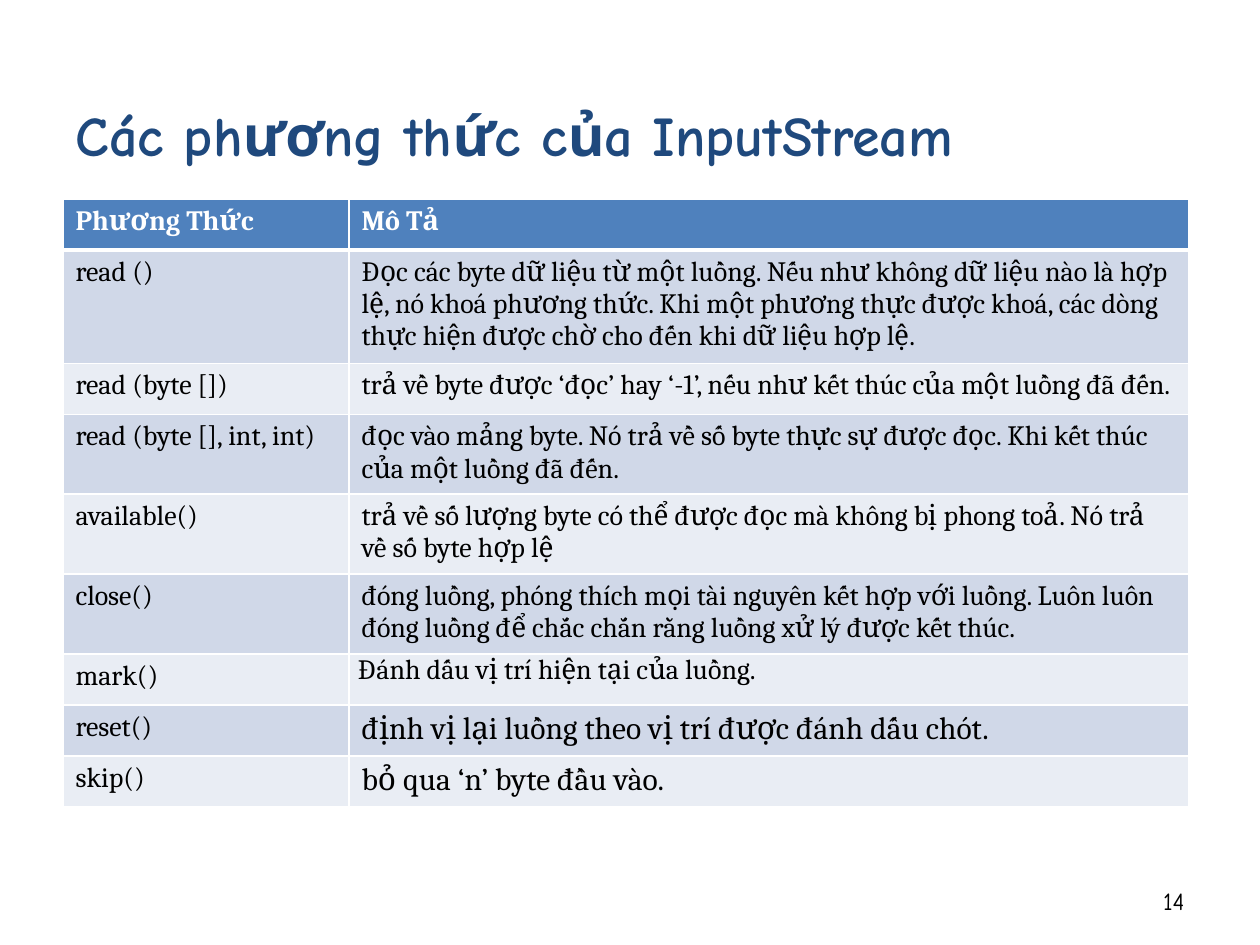
import dataclasses

import pptx
import pptx.dml.color
import pptx.enum.text
import pptx.oxml
import pptx.oxml.ns
import pptx.util

ALIGN = pptx.enum.text.PP_ALIGN
ANCHOR = pptx.enum.text.MSO_ANCHOR


@dataclasses.dataclass(frozen=True)
class Theme:
    heading_font: str = "Comic Neue"
    body_font: str = "Cambria"
    title: str = "1F497D"
    text: str = "000000"
    white: str = "FFFFFF"
    header_fill: str = "4F81BD"
    bands: tuple = ("D0D8E8", "E9EDF4")
    title_size: int = 32
    large_size: int = 18
    body_size: int = 16
    number_size: int = 14


THEME = Theme()
HEADERS = ("Phương Thức", "Mô Tả")
METHODS = [
    ("read ()", "Đọc các byte dữ liệu từ một luồng. Nếu như không dữ liệu nào là hợp lệ, "
     "nó khoá phương thức. Khi một phương thực được khoá, các dòng thực hiện được chờ "
     "cho đến khi dữ liệu hợp lệ."),
    ("read (byte [])",
     "trả về byte được ‘đọc’ hay ‘-1’, nếu như kết thúc của một luồng đã đến."),
    ("read (byte [], int, int)", "đọc vào mảng byte. Nó trả về số byte thực sự được đọc. "
     "Khi kết thúc của một luồng đã đến."),
    ("available()", "trả về số lượng byte có thể được đọc mà không bị phong toả. "
     "Nó trả về số byte hợp lệ"),
    ("close()", "đóng luồng, phóng thích mọi tài nguyên kết hợp với luồng. Luôn luôn đóng "
     "luồng để chắc chắn rằng luồng xử lý được kết thúc."),
    ("mark()", "Đánh dấu vị trí hiện tại của luồng."),
    ("reset()", "định vị lại luồng theo vị trí được đánh dấu chót."),
    ("skip()", "bỏ qua ‘n’ byte đầu vào."),
]
LARGE_DESCRIPTIONS = ("reset()", "skip()")
COLUMN_WIDTHS = (286, 840)
ROW_HEIGHT = 51


def px(length):
    return pptx.util.Emu(round(length * 914400 / 126))


def write(frame, text, font=THEME.body_font, size=THEME.body_size, color=THEME.text,
          bold=False, align=ALIGN.LEFT):
    frame.word_wrap = True
    paragraph = frame.paragraphs[0]
    paragraph.alignment = align
    run = paragraph.add_run()
    run.text = text
    run.font.name = font
    run.font.size = pptx.util.Pt(size)
    run.font.bold = bold
    run.font.color.rgb = pptx.dml.color.RGBColor.from_string(color)


def set_borders(cell, bottom=1, top=1):
    properties = cell._tc.get_or_add_tcPr()
    widths = {"lnL": 1, "lnR": 1, "lnT": top, "lnB": bottom}
    for position, (side, points) in enumerate(widths.items()):
        properties.insert(position, pptx.oxml.parse_xml(
            f'<a:{side} {pptx.oxml.ns.nsdecls("a")} w="{pptx.util.Pt(points)}">'
            f'<a:solidFill><a:srgbClr val="{THEME.white}"/></a:solidFill></a:{side}>'))


def fill_cell(cell, text, fill, bottom=1, top=1, **text_format):
    cell.fill.solid()
    cell.fill.fore_color.rgb = pptx.dml.color.RGBColor.from_string(fill)
    set_borders(cell, bottom, top)
    write(cell.text_frame, text, **text_format)


def add_title(slide, text):
    title = slide.shapes.title
    title.left, title.top, title.width, title.height = map(px, (63, 94, 1134, 126))
    title.text_frame.vertical_anchor = ANCHOR.TOP
    write(title.text_frame, text, font=THEME.heading_font, size=THEME.title_size,
          color=THEME.title, bold=True)


def add_page_number(slide, number):
    page_number = slide.shapes.add_textbox(*map(px, (903, 876, 294, 50)))
    page_number.text_frame.vertical_anchor = ANCHOR.MIDDLE
    write(page_number.text_frame, number, font=THEME.heading_font,
          size=THEME.number_size, align=ALIGN.RIGHT)


def add_method_table(slide):
    row_count = len(METHODS) + 1
    methods = slide.shapes.add_table(
        row_count, len(HEADERS), px(63), px(199),
        px(sum(COLUMN_WIDTHS)), px(ROW_HEIGHT * row_count)).table
    methods.horz_banding = False
    for column, width in zip(methods.columns, COLUMN_WIDTHS):
        column.width = px(width)
    for row in methods.rows:
        row.height = px(ROW_HEIGHT)
    for column, header in enumerate(HEADERS):
        fill_cell(methods.cell(0, column), header, THEME.header_fill, bottom=3,
                  color=THEME.white, bold=True)
    for row, (method, description) in enumerate(METHODS, 1):
        band = THEME.bands[(row - 1) % 2]
        top = 3 if row == 1 else 1
        size = THEME.large_size if method in LARGE_DESCRIPTIONS else THEME.body_size
        description_cell = methods.cell(row, 1)
        align = ALIGN.LEFT
        if method == "mark()":
            align = ALIGN.JUSTIFY
            description_cell.margin_left = description_cell.margin_right = px(9)
            description_cell.margin_top = description_cell.margin_bottom = 0
        fill_cell(methods.cell(row, 0), method, band, top=top)
        fill_cell(description_cell, description, band, top=top, size=size, align=align)


def main():
    presentation = pptx.Presentation()
    presentation.slide_width, presentation.slide_height = px(1260), px(945)
    slide = presentation.slides.add_slide(presentation.slide_layouts[5])
    add_title(slide, "Các phương thức của InputStream")
    add_page_number(slide, "14")
    add_method_table(slide)
    presentation.save("out.pptx")


if __name__ == "__main__":
    main()
